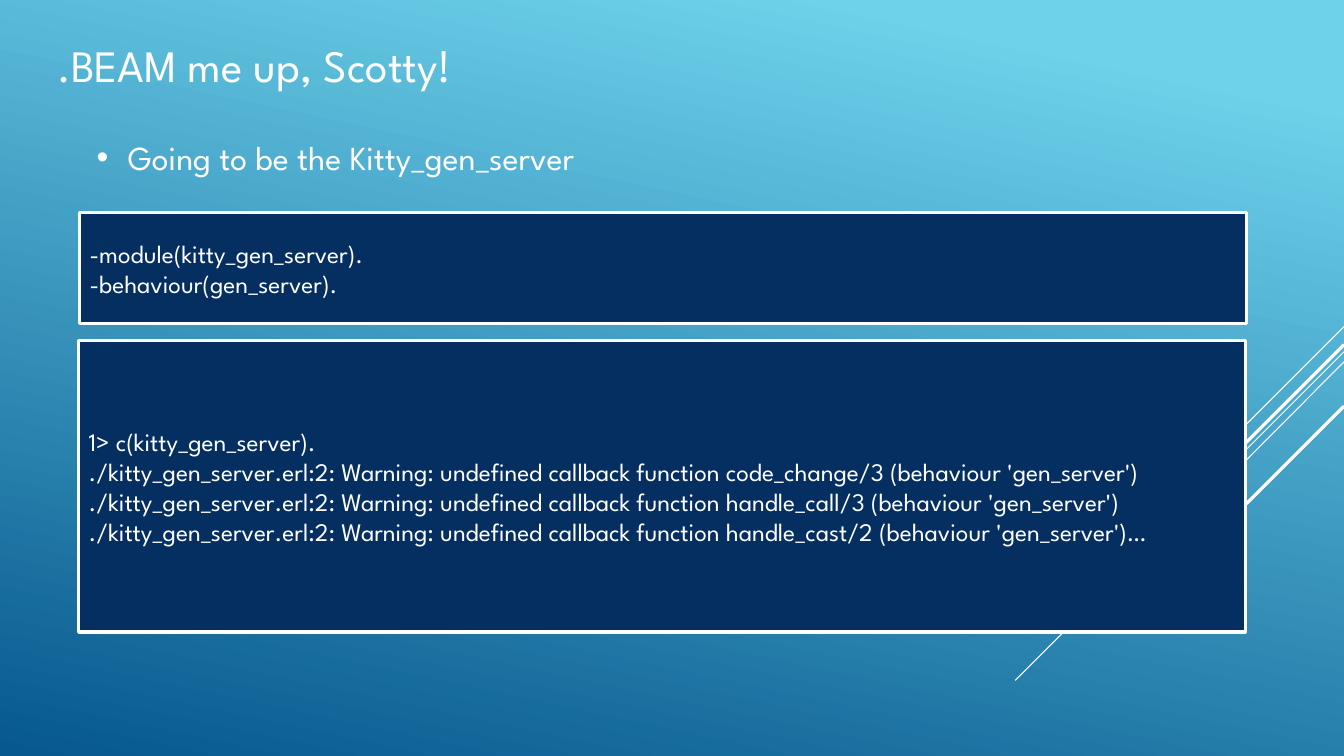
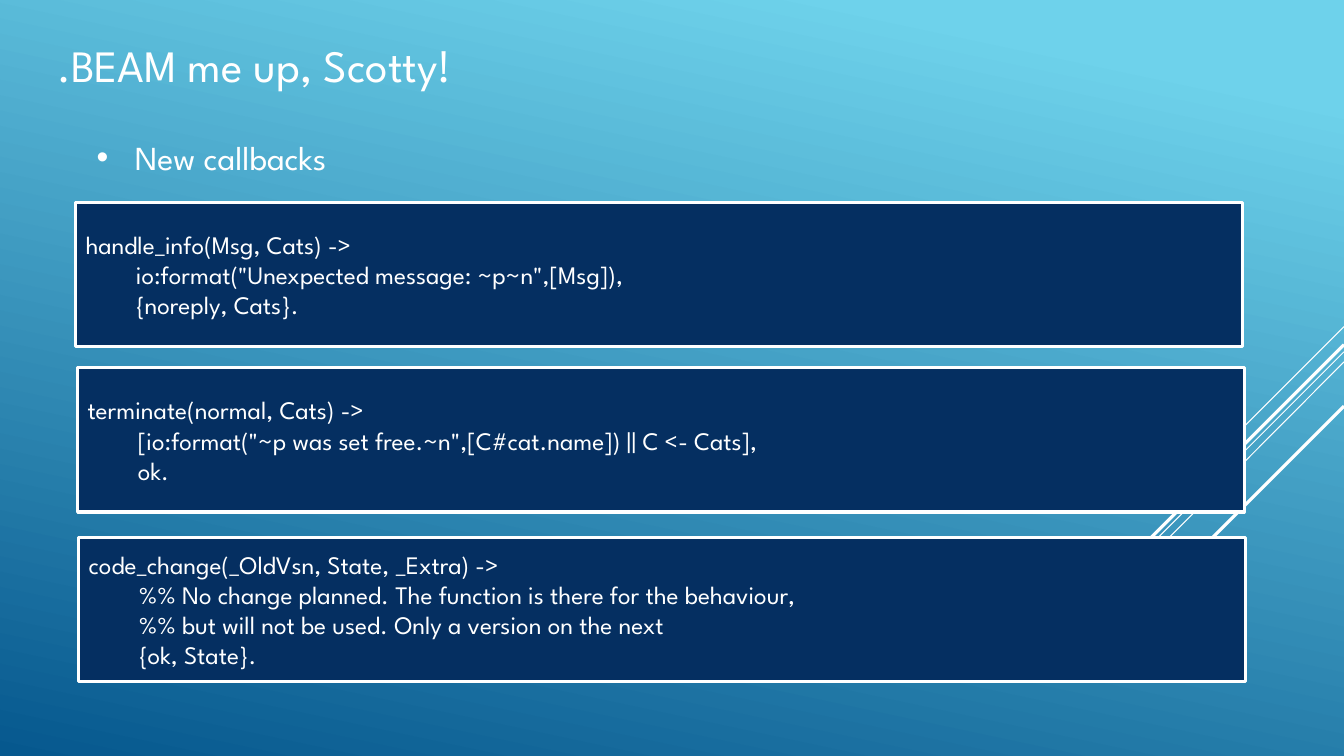
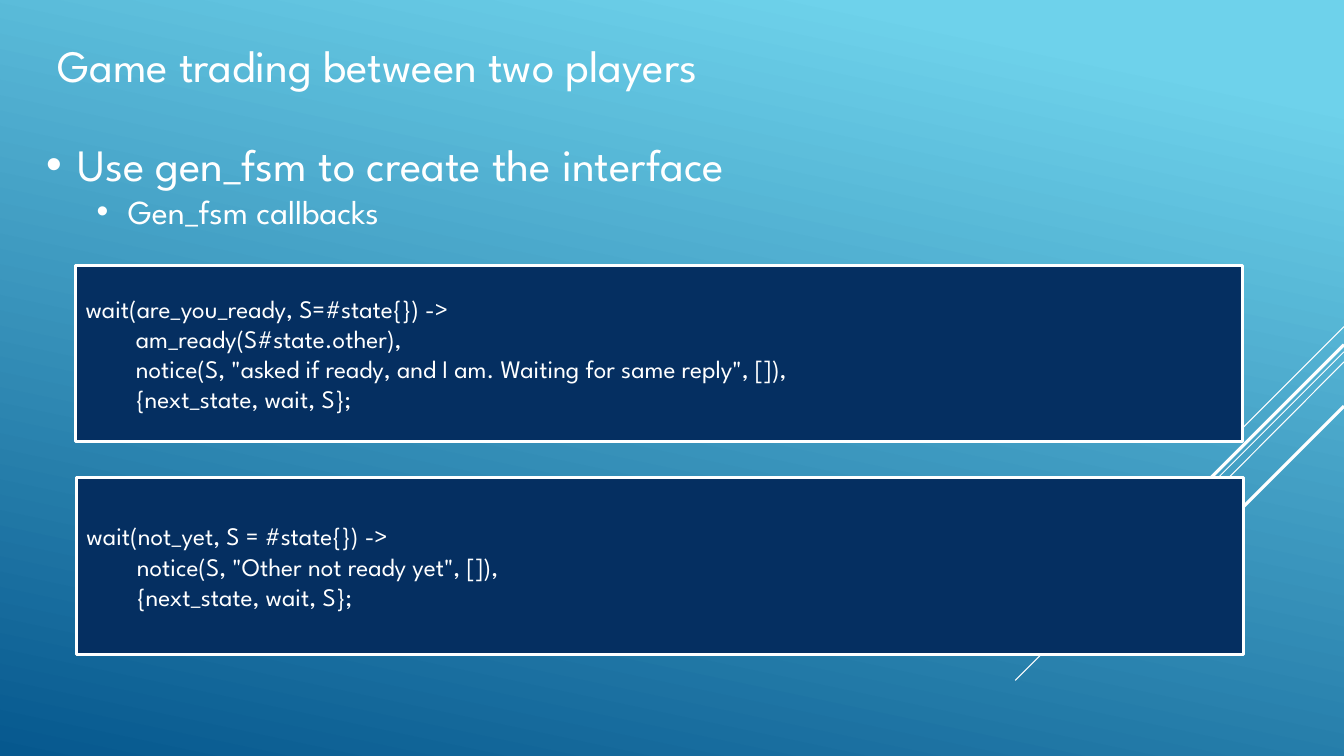
"""Build three Erlang slides with code panels on a shared blue gradient."""
from dataclasses import dataclass

from lxml import etree
from pptx import Presentation
from pptx.dml.color import RGBColor
from pptx.enum.shapes import MSO_CONNECTOR, MSO_SHAPE
from pptx.enum.text import MSO_ANCHOR, MSO_AUTO_SIZE, PP_ALIGN
from pptx.oxml.ns import qn
from pptx.util import Inches, Pt

STRAIGHT = MSO_CONNECTOR.STRAIGHT
RECTANGLE = MSO_SHAPE.RECTANGLE
MIDDLE = MSO_ANCHOR.MIDDLE
GROW = MSO_AUTO_SIZE.SHAPE_TO_FIT_TEXT
LEFT = PP_ALIGN.LEFT


@dataclass(frozen=True)
class Theme:
    font: str = "League Spartan"
    white: RGBColor = RGBColor.from_string("FFFFFF")
    navy: RGBColor = RGBColor.from_string("052F61")
    sky: RGBColor = RGBColor.from_string("6ED2EB")
    ocean: RGBColor = RGBColor.from_string("06588E")
    title: int = 32
    bullets: tuple = (32, 24)
    code: int = 18
    border: float = 2.25


THEME = Theme()
WIDTH, HEIGHT = 13.33, 7.5
PANEL_WIDTH = 11.57
CODE_INDENT = 0.5

STREAKS = [
    (3.24, 12.33, 4.24, 0.75),
    (3.49, 10.07, 6.75, 0.75),
    (3.59, 11.26, 5.67, 0.75),
    (3.42, 11.42, 5.33, 2.25),
    (4.03, 11.94, 5.42, 2.25),
]

SLIDES = [
    {
        "title": ".BEAM me up, Scotty!",
        "title_width": 4.85,
        "bullets_height": 1.72,
        "bullets": [(1, 0.81, 0.31, "Going to be the Kitty_gen_server")],
        "panels": [
            (0.79, 2.11, 1.1, [
                (0, "-module(kitty_gen_server)."),
                (0, "-behaviour(gen_server)."),
            ]),
            (0.78, 3.38, 2.89, [
                (0, "1> c(kitty_gen_server)."),
                (0, "./kitty_gen_server.erl:2: Warning: undefined callback function "
                    "code_change/3 (behaviour 'gen_server')"),
                (0, "./kitty_gen_server.erl:2: Warning: undefined callback function "
                    "handle_call/3 (behaviour 'gen_server')"),
                (0, "./kitty_gen_server.erl:2: Warning: undefined callback function "
                    "handle_cast/2 (behaviour 'gen_server')…"),
            ]),
        ],
    },
    {
        "title": ".BEAM me up, Scotty!",
        "title_width": 4.85,
        "bullets_height": 0.5,
        "bullets": [(1, 0.88, 0.38, "New callbacks")],
        "panels": [
            (0.75, 2.01, 1.43, [
                (0, "handle_info(Msg, Cats) ->"),
                (1, 'io:format("Unexpected message: ~p~n",[Msg]),'),
                (1, "{noreply, Cats}."),
            ]),
            (0.77, 3.65, 1.43, [
                (0, "terminate(normal, Cats) ->"),
                (1, '[io:format("~p was set free.~n",[C#cat.name]) || C <- Cats],'),
                (1, "ok."),
            ]),
            (0.78, 5.33, 1.43, [
                (0, "code_change(_OldVsn, State, _Extra) ->"),
                (1, "%% No change planned. The function is there for the behaviour,"),
                (1, "%% but will not be used. Only a version on the next"),
                (1, "{ok, State}."),
            ]),
        ],
    },
    {
        "title": "Game trading between two players",
        "title_width": 8.14,
        "bullets_height": 3.06,
        "bullets": [
            (0, 0.31, 0.31, "Use gen_fsm to create the interface"),
            (1, 0.81, 0.31, "Gen_fsm callbacks"),
        ],
        "panels": [
            (0.75, 2.63, 1.75, [
                (0, "wait(are_you_ready, S=#state{}) ->"),
                (1, "am_ready(S#state.other),"),
                (1, 'notice(S, "asked if ready, and I am. Waiting for same reply", []),'),
                (1, "{next_state, wait, S};"),
            ]),
            (0.76, 4.74, 1.75, [
                (0, "wait(not_yet, S = #state{}) ->"),
                (1, 'notice(S, "Other not ready yet", []),'),
                (1, "{next_state, wait, S};"),
            ]),
        ],
    },
]


def paint_background(master):
    fill = master.background.fill
    fill.gradient()
    fill.gradient_angle = 360 - 102
    for stop, position, color in zip(fill.gradient_stops, (0.1, 1), (THEME.sky, THEME.ocean)):
        stop.position = position
        stop.color.rgb = color


def add_streaks(page):
    for top, end_left, end_top, weight in STREAKS:
        streak = page.shapes.add_connector(
            STRAIGHT, Inches(WIDTH), Inches(top), Inches(end_left), Inches(end_top))
        streak.line.color.rgb = THEME.white
        streak.line.width = Pt(weight)
        etree.SubElement(streak._element.spPr, qn("a:effectLst"))


def write_lines(frame, lines):
    """Write (level, margin, hanging, size, text) lines; a hanging line gets a bullet."""
    frame.text = "\n".join(line[-1] for line in lines)
    for para, (level, margin, hanging, size, text) in zip(frame.paragraphs, lines):
        para.level = level
        para.alignment = LEFT
        para.font.name = THEME.font
        for span in para.runs:
            span.font.name = THEME.font
            span.font.size = Pt(size)
            span.font.color.rgb = THEME.white
        properties = para._p.get_or_add_pPr()
        properties.set("marL", str(Inches(margin)))
        properties.set("indent", str(-Inches(hanging)))
        if hanging:
            etree.SubElement(properties, qn("a:buFont"), typeface="Arial")
            etree.SubElement(properties, qn("a:buChar"), char="•")


def add_title(page, text, width):
    box = page.shapes.add_textbox(Inches(0.47), Inches(0.33), Inches(width), Inches(0.64))
    box.text_frame.word_wrap = False
    box.text_frame.auto_size = GROW
    write_lines(box.text_frame, [(0, 0, 0, THEME.title, text)])


def add_bullets(page, bullets, height):
    box = page.shapes.add_textbox(Inches(0.36), Inches(1.31), Inches(12.36), Inches(height))
    box.text_frame.word_wrap = True
    write_lines(box.text_frame, [
        (level, margin, hanging, THEME.bullets[level], text)
        for level, margin, hanging, text in bullets])


def add_panel(page, left, top, height, code):
    panel = page.shapes.add_shape(
        RECTANGLE, Inches(left), Inches(top), Inches(PANEL_WIDTH), Inches(height))
    panel.shadow.inherit = False
    panel.fill.solid()
    panel.fill.fore_color.rgb = THEME.navy
    panel.line.color.rgb = THEME.white
    panel.line.width = Pt(THEME.border)
    panel.text_frame.word_wrap = True
    panel.text_frame.vertical_anchor = MIDDLE
    write_lines(panel.text_frame, [
        (level, level * CODE_INDENT, 0, THEME.code, text) for level, text in code])


def main():
    deck = Presentation()
    deck.slide_width, deck.slide_height = Inches(WIDTH), Inches(HEIGHT)
    paint_background(deck.slide_master)
    for content in SLIDES:
        page = deck.slides.add_slide(deck.slide_layouts[6])
        add_streaks(page)
        add_title(page, content["title"], content["title_width"])
        add_bullets(page, content["bullets"], content["bullets_height"])
        for panel in content["panels"]:
            add_panel(page, *panel)
    deck.save("out.pptx")


if __name__ == "__main__":
    main()
